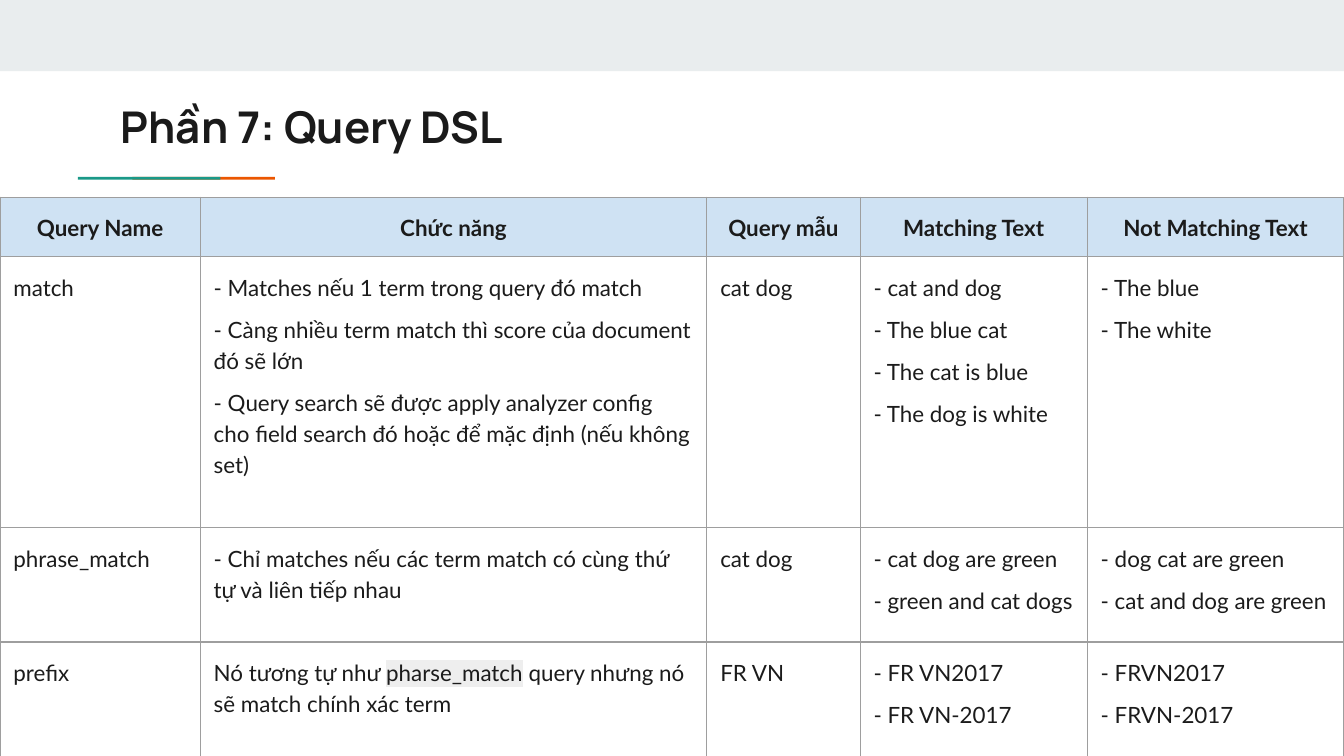
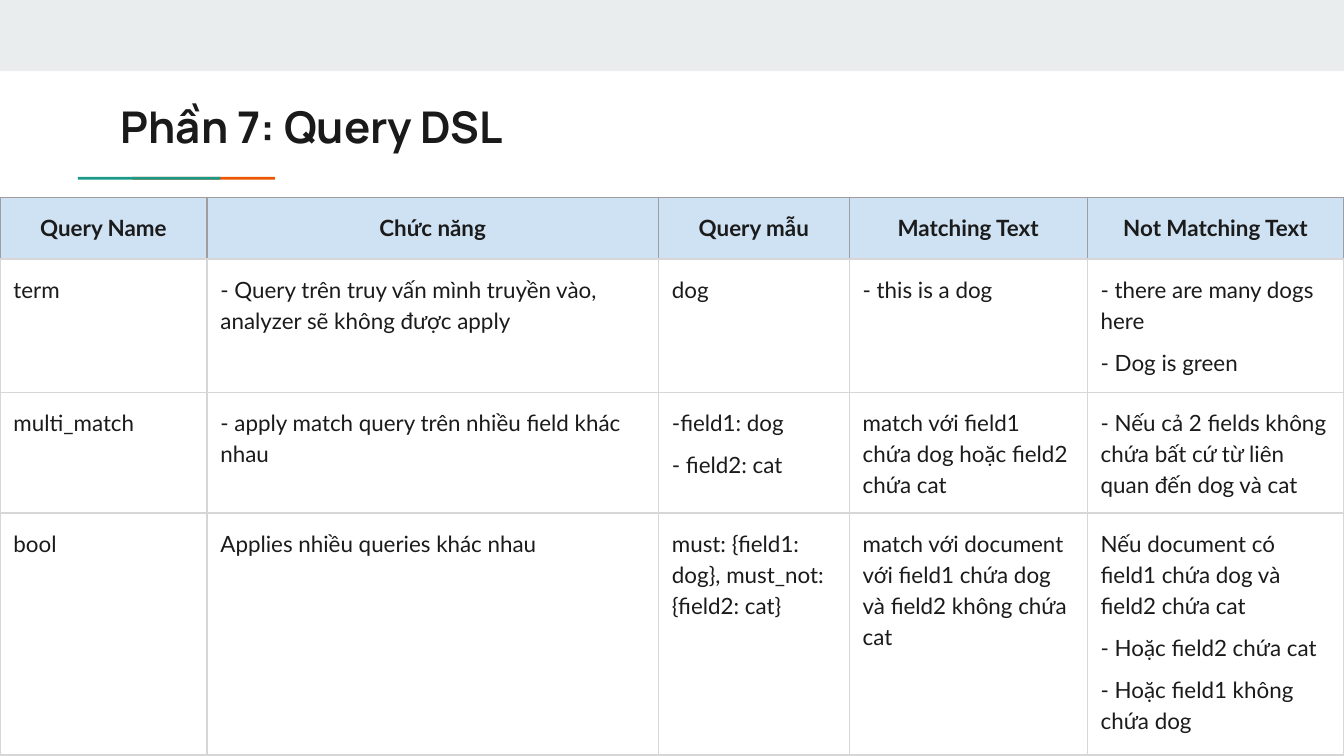
from lxml.etree import SubElement
from pptx import Presentation
from pptx.dml.color import RGBColor
from pptx.enum.shapes import MSO_SHAPE
from pptx.enum.text import MSO_ANCHOR, PP_ALIGN
from pptx.oxml.ns import qn
from pptx.util import Pt

BAND, TEAL, ORANGE = "E9EDEE", "1A9988", "EB5600"
TITLE_INK, TABLE_INK = "1A1A1A", "1B1B1B"
HEADER_BLUE, DARK_RULE, LIGHT_RULE = "CFE2F3", "9E9E9E", "D6D6D7"
MARK_GREY, MARKED_TERM = "EEEEEE", "pharse_match"

SLIDE_WIDTH, SLIDE_HEIGHT = 720, 405
TABLE_TOP = 105.7
TITLE = "Phần 7: Query DSL"
HEADINGS = ["Query Name", "Chức năng", "Query mẫu", "Matching Text", "Not Matching Text"]

TITLE_FONT = {"name": "Manrope", "size": Pt(23.4), "bold": True}
HEADER_FONT = {"name": "Lato", "size": Pt(12), "bold": True}
BODY_FONT = {**HEADER_FONT, "bold": False}
BODY_PARAGRAPH = {"line_spacing": 1.15, "space_before": Pt(6), "alignment": PP_ALIGN.LEFT}
HEADER_PARAGRAPH = {**BODY_PARAGRAPH, "alignment": PP_ALIGN.CENTER}
INSETS = {f"margin_{side}": Pt(7.2) for side in ("left", "right", "top", "bottom")}

QUERY_TABLES = [
    {
        "columns": [107.3, 271.4, 82.1, 121.7, 137.5],
        "heights": [31.7, 145.4, 61.2, 61.2],
        "body_rule": DARK_RULE,
        "queries": [
            ["match",
             "- Matches nếu 1 term trong query đó match\n"
             "- Càng nhiều term match thì score của document đó sẽ lớn\n"
             "- Query search sẽ được apply analyzer config cho field search đó "
             "hoặc để mặc định (nếu không set)",
             "cat dog",
             "- cat and dog\n- The blue cat\n- The cat is blue\n- The dog is white",
             "- The blue\n- The white"],
            ["phrase_match",
             "- Chỉ matches nếu các term match có cùng thứ tự và liên tiếp nhau",
             "cat dog",
             "- cat dog are green\n- green and cat dogs",
             "- dog cat are green\n- cat and dog are green"],
            ["prefix",
             "Nó tương tự như pharse_match query nhưng nó sẽ match chính xác term",
             "FR VN",
             "- FR VN2017\n- FR VN-2017",
             "- FRVN2017\n- FRVN-2017"],
        ],
    },
    {
        "columns": [110.9, 241.9, 102.2, 127.5, 137.5],
        "heights": [33.1, 71.3, 64.8, 129.6],
        "body_rule": LIGHT_RULE,
        "queries": [
            ["term",
             "- Query trên truy vấn mình truyền vào, analyzer sẽ không được apply",
             "dog",
             "- this is a dog",
             "- there are many dogs here\n- Dog is green"],
            ["multi_match",
             "- apply match query trên nhiều field khác nhau",
             "-field1: dog\n- field2: cat",
             "match với field1 chứa dog hoặc field2 chứa cat",
             "- Nếu cả 2 fields không chứa bất cứ từ liên quan đến dog và cat"],
            ["bool",
             "Applies nhiều queries khác nhau",
             "must: {field1: dog}, must_not: {field2: cat}",
             "match với document với field1 chứa dog và field2 không chứa cat",
             "Nếu document có field1 chứa dog và field2 chứa cat\n"
             "- Hoặc field2 chứa cat\n- Hoặc field1 không chứa dog"],
        ],
    },
]


def apply(target, values):
    for attribute, value in values.items():
        setattr(target, attribute, value)


def paint(fill, color):
    fill.solid()
    fill.fore_color.rgb = RGBColor.from_string(color)


def add_run(paragraph, text, font, ink):
    run = paragraph.add_run()
    run.text = text
    apply(run.font, font)
    paint(run.font.fill, ink)
    return run


def mark(run, color):
    properties = run.font._element
    highlight = SubElement(properties, qn("a:highlight"))
    SubElement(highlight, qn("a:srgbClr"), val=color)
    properties.find(qn("a:solidFill")).addnext(highlight)


def add_bar(slide, left, top, width, height, color):
    bar = slide.shapes.add_shape(
        MSO_SHAPE.RECTANGLE, Pt(left), Pt(top), Pt(width), Pt(height))
    bar.shadow.inherit = False
    paint(bar.fill, color)
    bar.line.fill.background()


def add_heading(slide):
    add_bar(slide, 0, 0, SLIDE_WIDTH, 38.2, BAND)
    for left, color in ((71, ORANGE), (41.8, TEAL)):
        add_bar(slide, left, 94.7, 76.3, 1.5, color)
    title = slide.shapes.add_textbox(Pt(57.6), Pt(46.1), Pt(605.5), Pt(42.5)).text_frame
    apply(title, {**INSETS, "word_wrap": True, "vertical_anchor": MSO_ANCHOR.MIDDLE})
    add_run(title.paragraphs[0], TITLE, TITLE_FONT, TITLE_INK)


def rule_cell(cell, side_rule, bottom_rule, top_rule):
    properties = cell._tc.get_or_add_tcPr()
    rules = {"lnL": side_rule, "lnR": side_rule, "lnT": top_rule, "lnB": bottom_rule}
    for edge, color in rules.items():
        line = SubElement(properties, qn(f"a:{edge}"), w=str(Pt(0.75)))
        SubElement(SubElement(line, qn("a:solidFill")), qn("a:srgbClr"), val=color)


def write_cell(cell, text, paragraph_format, font):
    apply(cell, {**INSETS, "vertical_anchor": MSO_ANCHOR.TOP})
    for index, line in enumerate(text.split("\n")):
        frame = cell.text_frame
        paragraph = frame.add_paragraph() if index else frame.paragraphs[0]
        apply(paragraph, paragraph_format)
        for part in filter(None, line.partition(MARKED_TERM)):
            run = add_run(paragraph, part, font, TABLE_INK)
            if part == MARKED_TERM:
                mark(run, MARK_GREY)


def add_query_table(slide, columns, heights, body_rule, queries):
    table = slide.shapes.add_table(
        len(heights), len(columns), 0, Pt(TABLE_TOP),
        Pt(sum(columns)), Pt(sum(heights))).table
    table.horz_banding = False
    for column, width in zip(table.columns, columns):
        column.width = Pt(width)
    for row, height in zip(table.rows, heights):
        row.height = Pt(height)
    for heading, cell in zip(HEADINGS, table.rows[0].cells):
        rule_cell(cell, DARK_RULE, body_rule, DARK_RULE)
        paint(cell.fill, HEADER_BLUE)
        write_cell(cell, heading, HEADER_PARAGRAPH, HEADER_FONT)
    for number, query in enumerate(queries, 1):
        for text, cell in zip(query, table.rows[number].cells):
            rule_cell(cell, body_rule, body_rule, body_rule)
            cell.fill.background()
            write_cell(cell, text, BODY_PARAGRAPH, BODY_FONT)


def main():
    deck = Presentation()
    apply(deck, {"slide_width": Pt(SLIDE_WIDTH), "slide_height": Pt(SLIDE_HEIGHT)})
    for query_table in QUERY_TABLES:
        slide = deck.slides.add_slide(deck.slide_layouts[6])
        add_heading(slide)
        add_query_table(slide, **query_table)
    deck.save("out.pptx")


if __name__ == "__main__":
    main()
